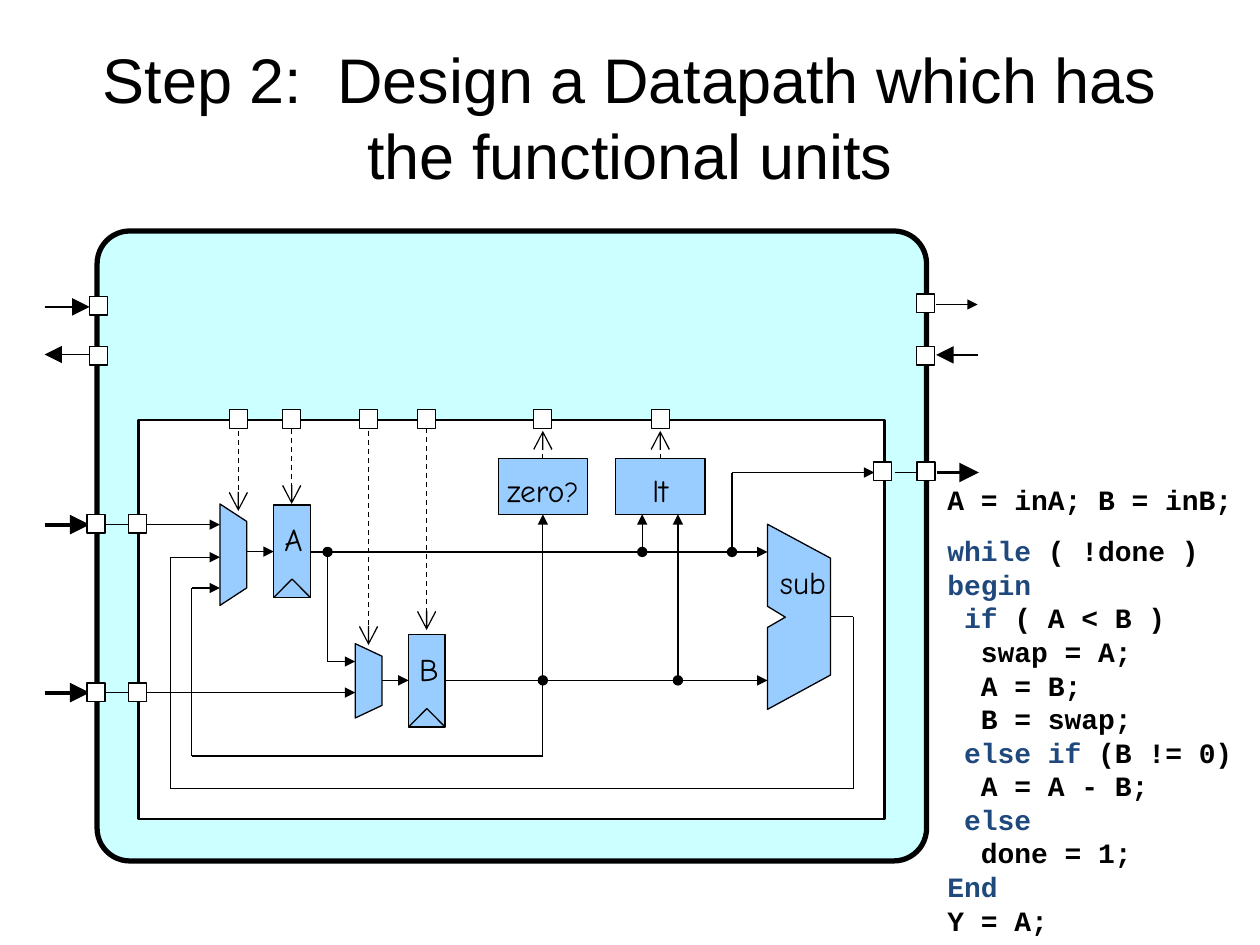
from lxml.etree import SubElement
from pptx import Presentation
from pptx.dml.color import RGBColor
from pptx.enum.dml import MSO_LINE
from pptx.enum.shapes import MSO_CONNECTOR, MSO_SHAPE
from pptx.enum.text import MSO_ANCHOR, PP_ALIGN
from pptx.oxml.ns import qn
from pptx.util import Pt

BLACK = RGBColor(0x00, 0x00, 0x00)
WHITE = RGBColor(0xFF, 0xFF, 0xFF)
CYAN = RGBColor(0xCC, 0xFF, 0xFF)
BLUE = RGBColor(0x99, 0xCC, 0xFF)
KEYWORD = RGBColor(0x1F, 0x49, 0x7D)

TITLE_FONT = {"name": "Arial", "size": Pt(36)}
LABEL_FONT = {"name": "Comic Neue", "size": Pt(18)}
MARK_FONT = {"name": "Comic Neue", "size": Pt(16)}
CODE_FONT = {"name": "Courier New", "size": Pt(16), "bold": True}
NO_INSETS = dict.fromkeys(
    ("margin_left", "margin_top", "margin_right", "margin_bottom"), 0)

# Rows and columns of the datapath
CONTROL_Y, A_BUS_Y, B_BUS_Y = 239.5, 315.4, 388.8
IN_A_Y, IN_B_Y, OUT_Y = 299.8, 395.8, 270
PIN_W, PIN_H, DOT = 10.3, 10.6, 5.2
UNIT_W, UNIT_H, UNIT_TOP = 51, 31.7, 262.2
REGISTER_W, REGISTER_H = 20.8, 52.8
ZERO_X, LT_X = 310.2, 377.3
MUX_A_X, MUX_B_X, SUB_X = 125.7, 203, 438.6
A_TO_B_X, LT_A_X, LT_B_X, OUT_X = 187.2, 367, 387.4, 418.3

CODE = [
    [("A = inA; B = inB;", BLACK)],
    [("while", KEYWORD), (" ( !done )", BLACK)],
    [("begin", KEYWORD)],
    [(" if", KEYWORD), (" ( A < B )", BLACK)],
    [("  swap = A;", BLACK)],
    [("  A = B;", BLACK)],
    [("  B = swap;", BLACK)],
    [(" ", BLACK), ("else if", KEYWORD), (" (B != 0)", BLACK)],
    [("  A = A - B;", BLACK)],
    [(" ", BLACK), ("else", KEYWORD)],
    [("  done = 1;", BLACK)],
    [("End", KEYWORD)],
    [("Y = A;", BLACK)],
]


def set_all(target, values):
    for name, value in values.items():
        setattr(target, name, value)


def paint(part, fill, weight):
    part.shadow.inherit = False
    part.fill.solid()
    part.fill.fore_color.rgb = fill
    part.line.color.rgb = BLACK
    part.line.width = Pt(weight)


def add_part(slide, preset, left, top, width, height, fill, weight=0.75):
    part = slide.shapes.add_shape(
        preset, Pt(left), Pt(top), Pt(width), Pt(height))
    paint(part, fill, weight)
    return part


def add_centred(slide, preset, x, y, width, height, fill):
    add_part(slide, preset, x - width / 2, y - height / 2, width, height, fill)


def add_outline(slide, corners):
    points = [(Pt(x), Pt(y)) for x, y in corners]
    builder = slide.shapes.build_freeform(*points[0], scale=1.0)
    builder.add_line_segments(points[1:], close=True)
    paint(builder.convert_to_shape(), BLUE, 0.75)


def add_wire(slide, stops, head=None, size="med", weight=0.75, dashed=False):
    """Join the stops with straight lines; the last one carries the head."""
    for (x1, y1), (x2, y2) in zip(stops, stops[1:]):
        wire = slide.shapes.add_connector(
            MSO_CONNECTOR.STRAIGHT, Pt(x1), Pt(y1), Pt(x2), Pt(y2))
        wire.line.color.rgb = BLACK
        wire.line.width = Pt(weight)
        if dashed:
            wire.line.dash_style = MSO_LINE.DASH
        SubElement(wire._element.spPr, qn("a:effectLst"))
    if head:
        SubElement(wire.line._get_or_add_ln(), qn("a:tailEnd"),
                   type=head, w=size, len=size)


def add_run(paragraph, text, font, color=BLACK):
    run = paragraph.add_run()
    run.text = text
    set_all(run.font, font)
    run.font.color.rgb = color


def add_text(slide, left, top, width, height, wrap=True):
    frame = slide.shapes.add_textbox(
        Pt(left), Pt(top), Pt(width), Pt(height)).text_frame
    set_all(frame, {**NO_INSETS, "word_wrap": wrap})
    return frame


def add_label(slide, text, left, top, width):
    frame = add_text(slide, left, top, width, 21.6, wrap=False)
    add_run(frame.paragraphs[0], text, LABEL_FONT)


def add_test_unit(slide, x, name, mark=""):
    left = x - UNIT_W / 2
    add_part(slide, MSO_SHAPE.RECTANGLE, left, UNIT_TOP, UNIT_W, UNIT_H, BLUE)
    label = add_text(slide, left, UNIT_TOP + 7.1, UNIT_W, 21.6).paragraphs[0]
    label.alignment = PP_ALIGN.CENTER
    add_run(label, name, LABEL_FONT)
    if mark:
        add_run(label, mark, MARK_FONT)


def add_register(slide, name, left, top):
    middle, right, bottom = left + REGISTER_W / 2, left + REGISTER_W, top + REGISTER_H
    add_part(slide, MSO_SHAPE.RECTANGLE, left, top, REGISTER_W, REGISTER_H, BLUE)
    add_wire(slide, [(left, bottom), (middle, bottom - 10.5), (right, bottom)])
    add_label(slide, name, left + 6, top + 8.7, 11)


def add_mux(slide, left, top, height, slant):
    right, bottom = left + 15.3, top + height
    add_outline(slide, [(left, bottom), (right, bottom - slant),
                        (right, top + slant), (left, top)])


def add_code(slide):
    frame = add_text(slide, 541.4, 275.8, 176, 259.2)
    for number, pieces in enumerate(CODE):
        line = frame.paragraphs[0] if number == 0 else frame.add_paragraph()
        if number == 1:
            line.space_before = Pt(10)
        for text, color in pieces:
            add_run(line, text, CODE_FONT, color)


def main():
    deck = Presentation()
    set_all(deck, {"slide_width": Pt(720), "slide_height": Pt(540)})
    slide = deck.slides.add_slide(deck.slide_layouts[6])

    # Title
    title = add_text(slide, 36, 21.6, 648, 90)
    title.vertical_anchor = MSO_ANCHOR.MIDDLE
    heading = title.paragraphs[0]
    heading.alignment = PP_ALIGN.CENTER
    add_run(heading, "Step 2:  Design a Datapath which has the functional units",
            TITLE_FONT)

    # Module and datapath frames
    module = add_part(slide, MSO_SHAPE.ROUNDED_RECTANGLE,
                      55.5, 132, 474, 360, CYAN, 3)
    module.adjustments[0] = 0.052
    add_part(slide, MSO_SHAPE.RECTANGLE, 79.3, 240, 426.2, 228, WHITE, 1.5)

    # Functional units
    add_mux(slide, MUX_A_X, 288, 58, 10)
    add_mux(slide, MUX_B_X, 367.8, 42.5, 7.2)
    add_register(slide, "A", 156.5, 288.6)
    add_register(slide, "B", 233.5, 362.6)
    add_test_unit(slide, ZERO_X, "zero", "?")
    add_test_unit(slide, LT_X, "lt")
    add_outline(slide, [
        (SUB_X, 405.4), (474.6, 385.8), (474.6, 319), (SUB_X, 299.6),
        (SUB_X, 346.5), (448.8, 352.7), (SUB_X, 358.6)])
    add_label(slide, "sub", 445.7, 321.8, 26.6)

    # Handshake and data arrows outside the module
    for start, end, y, weight, size in (
            (25.5, 51.2, 175.4, 0.75, "lg"), (51.2, 25.5, 202.6, 0.75, "lg"),
            (25.5, 51.2, IN_A_Y, 2.25, "lg"), (25.5, 51.2, IN_B_Y, 2.25, "lg"),
            (535.5, 559.4, OUT_Y, 2.25, "lg"), (535, 558.7, 174, 0.75, "med"),
            (558.7, 535, 202.8, 0.75, "lg")):
        add_wire(slide, [(start, y), (end, y)], "triangle", size, weight)

    # Links between module and datapath pins
    for start, end, y in ((55.4, 73.4, IN_A_Y), (55.4, 73.4, IN_B_Y),
                          (511.2, 523.4, OUT_Y)):
        add_wire(slide, [(start, y), (end, y)])

    # Data wires that end in an arrow
    unit_bottom = UNIT_TOP + UNIT_H
    for stops in (
            [(78.5, IN_A_Y), (MUX_A_X, IN_A_Y)],
            [(78.5, IN_B_Y), (MUX_B_X, IN_B_Y)],
            [(141, 315.2), (156.5, 315.2)],
            [(218.2, B_BUS_Y), (233.5, B_BUS_Y)],
            [(177.6, A_BUS_Y), (OUT_X, A_BUS_Y), (SUB_X, A_BUS_Y)],
            [(253.8, B_BUS_Y), (LT_B_X, B_BUS_Y), (SUB_X, B_BUS_Y)],
            [(A_TO_B_X, A_BUS_Y), (A_TO_B_X, 378), (MUX_B_X, 378)],
            [(ZERO_X, B_BUS_Y), (ZERO_X, unit_bottom)],
            [(LT_A_X, A_BUS_Y), (LT_A_X, unit_bottom)],
            [(LT_B_X, B_BUS_Y), (LT_B_X, unit_bottom)],
            [(OUT_X, A_BUS_Y), (OUT_X, OUT_Y), (499.6, OUT_Y)],
            [(ZERO_X, B_BUS_Y), (ZERO_X, 432), (109.6, 432), (109.6, 336),
             (MUX_A_X, 336)],
            [(474.6, 352.3), (487.6, 352.3), (487.6, 450.6), (97.4, 450.6),
             (97.4, 318.4), (MUX_A_X, 318.4)]):
        add_wire(slide, stops, "triangle")

    # Control and status signals with their pins
    for x, start, end in ((136.2, 241, 292), (166.7, 240, 288),
                          (210.6, 241, 368.6), (243.8, 234, 360),
                          (ZERO_X, UNIT_TOP, 246.2), (LT_X, UNIT_TOP, 246.2)):
        add_wire(slide, [(x, start), (x, end)], "arrow", "lg", dashed=True)
        add_centred(slide, MSO_SHAPE.RECTANGLE, x, CONTROL_Y, PIN_W, PIN_H, WHITE)

    # Data and handshake pins
    for x, y in ((56.3, 174.8), (56.3, 203.3), (528.8, 173.3), (528.8, 203.3),
                 (54.8, 299.4), (78.6, 299.4), (54.8, 395.6), (78.6, 395.6),
                 (504.4, 269.4), (529.2, 269.4)):
        add_centred(slide, MSO_SHAPE.RECTANGLE, x, y, PIN_W, PIN_H, WHITE)

    # Junctions
    for x, y in ((A_TO_B_X, A_BUS_Y), (LT_A_X, A_BUS_Y), (OUT_X, A_BUS_Y),
                 (ZERO_X, B_BUS_Y), (LT_B_X, B_BUS_Y)):
        add_centred(slide, MSO_SHAPE.OVAL, x, y, DOT, DOT, BLACK)

    add_code(slide)
    deck.save("out.pptx")


if __name__ == "__main__":
    main()
